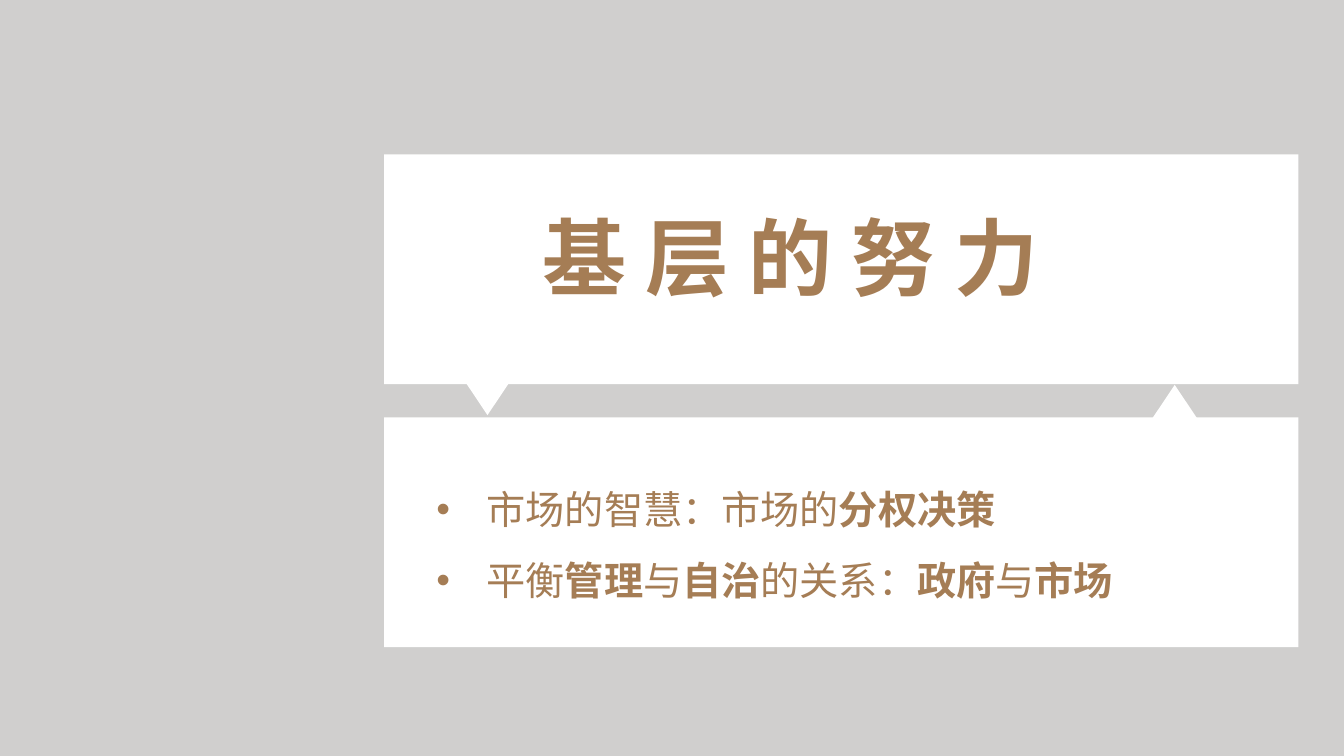
import dataclasses

import pptx
import pptx.dml.color
import pptx.enum.shapes
import pptx.enum.text
import pptx.oxml
import pptx.oxml.ns
import pptx.util

Cm = pptx.util.Cm
Pt = pptx.util.Pt
Color = pptx.dml.color.RGBColor.from_string
Kind = pptx.enum.shapes.MSO_SHAPE


@dataclasses.dataclass(frozen=True)
class Theme:
    backdrop: str = "D0CFCE"
    card: str = "FFFFFF"
    ink: str = "A57D55"
    font: str = "Noto Sans CJK SC"
    title_size: int = 60
    body_size: int = 28


theme = Theme()


def add_text(para, text, size=theme.body_size, bold=False):
    span = para.add_run()
    span.text = text
    span.font.size = Pt(size)
    span.font.bold = bold
    span.font.color.rgb = Color(theme.ink)
    span.font.name = theme.font
    east_asian = pptx.oxml.parse_xml(
        f'<a:ea {pptx.oxml.ns.nsdecls("a")} typeface="{theme.font}"/>')
    span.font._element.append(east_asian)


def place(holder, left, top, width, height):
    holder.left, holder.top = Cm(left), Cm(top)
    holder.width, holder.height = Cm(width), Cm(height)
    frame = holder.text_frame
    frame.word_wrap = True
    frame.auto_size = pptx.enum.text.MSO_AUTO_SIZE.NONE
    frame.vertical_anchor = pptx.enum.text.MSO_ANCHOR.TOP
    page.shapes._spTree.append(holder._element)
    return frame


deck = pptx.Presentation()
deck.slide_width, deck.slide_height = Cm(33.87), Cm(19.05)
page = deck.slides.add_slide(deck.slide_layouts[1])
page.background.fill.solid()
page.background.fill.fore_color.rgb = Color(theme.backdrop)

card_left, card_width, card_height = 9.68, 23.04, 5.79
pointer_width, pointer_height = 2.21, 1.65
panels = [
    (Kind.RECTANGLE, card_left, 3.89, card_width, card_height, 0),
    (Kind.ISOSCELES_TRIANGLE, 11.18, 8.81, pointer_width, pointer_height, 180),
    (Kind.RECTANGLE, card_left, 10.52, card_width, card_height, 0),
    (Kind.ISOSCELES_TRIANGLE, 28.5, 9.7, pointer_width, pointer_height, 0),
]
for kind, left, top, width, height, turn in panels:
    panel = page.shapes.add_shape(kind, Cm(left), Cm(top), Cm(width), Cm(height))
    panel.rotation = turn
    panel.shadow.inherit = False
    panel.fill.solid()
    panel.fill.fore_color.rgb = Color(theme.card)
    panel.line.fill.background()

title = place(page.shapes.title, 13.41, 5.05, 15.57, 2.82)
title.paragraphs[0].alignment = pptx.enum.text.PP_ALIGN.LEFT
add_text(title.paragraphs[0], "基 层 的 努 力", size=theme.title_size, bold=True)

points = [
    [("市场的智慧：市场的", False), ("分权决策", True)],
    [("平衡", False), ("管理", True), ("与", False), ("自治", True),
     ("的关系：", False), ("政府", True), ("与", False), ("市场", True)],
]
body = place(page.placeholders[1], 10.74, 11.51, 17.75, 3.84)
for index, point in enumerate(points):
    para = body.add_paragraph() if index else body.paragraphs[0]
    properties = para._element.get_or_add_pPr()
    properties.set("marL", str(Cm(1.27)))
    properties.set("indent", str(Cm(-1.27)))
    for bullet in ('buFont {} typeface="Arial"', 'buChar {} char="•"'):
        properties.append(pptx.oxml.parse_xml(
            f'<a:{bullet.format(pptx.oxml.ns.nsdecls("a"))}/>'))
    para.line_spacing = 1.5
    para.space_before = Pt(0)
    for text, bold in point:
        add_text(para, text, bold=bold)

deck.save("out.pptx")
